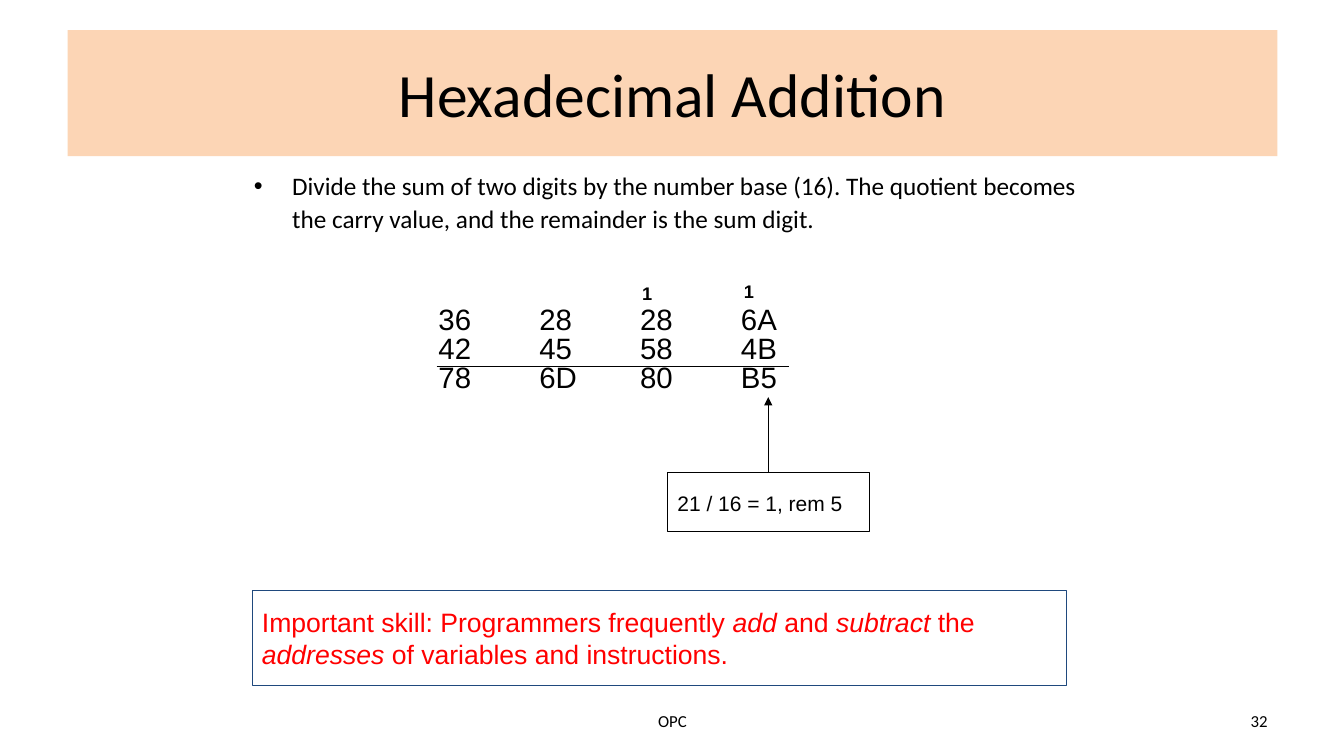
from dataclasses import dataclass

from lxml import etree
from pptx import Presentation
from pptx import util as u
from pptx.dml.color import RGBColor
from pptx.enum import shapes, text
from pptx.oxml import ns

PX = 9144  # 100 px to the inch


@dataclass(frozen=True)
class Theme:
    ink: RGBColor = RGBColor(0, 0, 0)
    banner: RGBColor = RGBColor(0xFC, 0xD5, 0xB5)
    frame: RGBColor = RGBColor(0x1F, 0x49, 0x7D)
    warning: RGBColor = RGBColor(0xFF, 0, 0)
    heading: str = "Calibri"
    plain: str = "Arial"
    title: int = 44
    body: int = 18
    digits: int = 21
    carry: int = 13
    note: int = 15
    skill: int = 19
    footer: int = 12
    hairline: float = 0.75


THEME = Theme()
DIGIT_ROWS = [
    ("36", "28", "28", "6A"),
    ("42", "45", "58", "4B"),
    ("78", "6D", "80", "B5"),
]
COLUMN_STEP = 100
SKILL_RUNS = [
    ("Important skill: Programmers frequently ", False), ("add", True),
    (" and ", False), ("subtract", True), (" the ", False),
    ("addresses", True), (" of variables and instructions.", False),
]


def px(*lengths):
    return [u.Emu(length * PX) for length in lengths]


def apply(target, **values):
    for name, value in values.items():
        setattr(target, name, value)


def set_font(font, size, name=THEME.plain, color=THEME.ink, **values):
    apply(font, size=u.Pt(size), name=name, **values)
    font.color.rgb = color


def set_frame(frame, margin_y=15, anchor=text.MSO_ANCHOR.TOP):
    side, edge = px(10, margin_y)
    apply(frame, word_wrap=True, vertical_anchor=anchor,
          margin_left=side, margin_right=side,
          margin_top=edge, margin_bottom=edge)


def add_label(slide, box, words, size, align=text.PP_ALIGN.LEFT,
              name=THEME.plain, bold=False, **frame_values):
    frame = slide.shapes.add_textbox(*px(*box)).text_frame
    set_frame(frame, **frame_values)
    label = frame.paragraphs[0]
    apply(label, text=words, alignment=align)
    set_font(label.font, size, name, bold=bold)
    return label


def add_framed_box(slide, box, line_color, runs, size, color, spacing=1.0):
    framed = slide.shapes.add_shape(shapes.MSO_SHAPE.RECTANGLE, *px(*box))
    framed.shadow.inherit = False
    framed.fill.background()
    framed.line.color.rgb = line_color
    framed.line.width = u.Pt(THEME.hairline)
    set_frame(framed.text_frame)
    words = framed.text_frame.paragraphs[0]
    apply(words, alignment=text.PP_ALIGN.LEFT, line_spacing=spacing)
    for part, italic in runs:
        run = words.add_run()
        run.text = part
        set_font(run.font, size, color=color, italic=italic)
    return framed


def add_rule(slide, ends):
    rule = slide.shapes.add_connector(
        shapes.MSO_CONNECTOR.STRAIGHT, *px(*ends))
    rule.line.color.rgb = THEME.ink
    rule.line.width = u.Pt(THEME.hairline)
    etree.SubElement(rule._element.spPr, ns.qn("a:effectLst"))
    return rule


def add_title(slide):
    title = slide.shapes.title
    left, top, width, height = px(67, 30, 1200, 125)
    apply(title, left=left, top=top, width=width, height=height)
    title.fill.solid()
    title.fill.fore_color.rgb = THEME.banner
    set_frame(title.text_frame, 5, text.MSO_ANCHOR.MIDDLE)
    heading = title.text_frame.paragraphs[0]
    apply(heading, text="Hexadecimal Addition", alignment=text.PP_ALIGN.CENTER)
    set_font(heading.font, THEME.title, THEME.heading)


def add_method(slide):
    method = add_label(
        slide, (242, 161, 850, 67),
        "Divide the sum of two digits by the number base (16). The quotient "
        "becomes the carry value, and the remainder is the sum digit.",
        THEME.body, name=THEME.heading, margin_y=5)
    method.line_spacing = 1.1
    properties = method._p.get_or_add_pPr()
    indent = 38 * PX
    properties.set("marL", str(indent))
    properties.set("indent", str(-indent))
    bullet_font = etree.Element(ns.qn("a:buFont"), typeface="Arial")
    bullet = etree.Element(ns.qn("a:buChar"), char="•")
    default_font = properties.find(ns.qn("a:defRPr"))
    for part in (bullet_font, bullet):
        default_font.addprevious(part)


def add_sum(slide):
    frame = slide.shapes.add_textbox(*px(425, 302, 425, 111)).text_frame
    set_frame(frame)
    for index, digits in enumerate(DIGIT_ROWS):
        row = frame.add_paragraph() if index else frame.paragraphs[0]
        row.text = "\t".join(digits)
        row.line_spacing = 0.4
        if index:
            row.space_before = u.Pt(THEME.digits / 2)
        stops = etree.SubElement(row._p.get_or_add_pPr(), ns.qn("a:tabLst"))
        for column in range(1, len(digits)):
            etree.SubElement(stops, ns.qn("a:tab"), algn="l",
                             pos=str(column * COLUMN_STEP * PX))
        set_font(row.font, THEME.digits)
    add_rule(slide, (433, 364, 783, 364))
    for left, top in ((728, 267), (627, 269)):
        add_label(slide, (left, top, 31, 52), "1", THEME.carry, bold=True)


def add_remainder_note(slide):
    note = add_framed_box(slide, (662, 469, 200, 58), THEME.ink,
                          [("21 / 16 = 1, rem 5", False)],
                          THEME.note, THEME.ink, spacing=1.1)
    arrow = add_rule(slide, (762, 469, 762, 394))
    arrow.begin_connect(note, 0)
    etree.SubElement(arrow.line._get_or_add_ln(), ns.qn("a:tailEnd"),
                     type="triangle")


def main():
    deck = Presentation()
    deck.slide_width, deck.slide_height = px(1333, 750)
    slide = deck.slides.add_slide(deck.slide_layouts[5])

    # Heading and rule of addition
    add_title(slide)
    add_method(slide)

    # Worked example
    add_sum(slide)
    add_remainder_note(slide)

    # Skill reminder
    add_framed_box(slide, (250, 586, 808, 94), THEME.frame, SKILL_RUNS,
                   THEME.skill, THEME.warning)

    # Footer and page number
    for box, words, align in (
            ((456, 695, 422, 40), "OPC", text.PP_ALIGN.CENTER),
            ((956, 695, 311, 40), "32", text.PP_ALIGN.RIGHT)):
        add_label(slide, box, words, THEME.footer, align, THEME.heading,
                  margin_y=5, anchor=text.MSO_ANCHOR.MIDDLE)

    deck.save("out.pptx")


if __name__ == "__main__":
    main()
